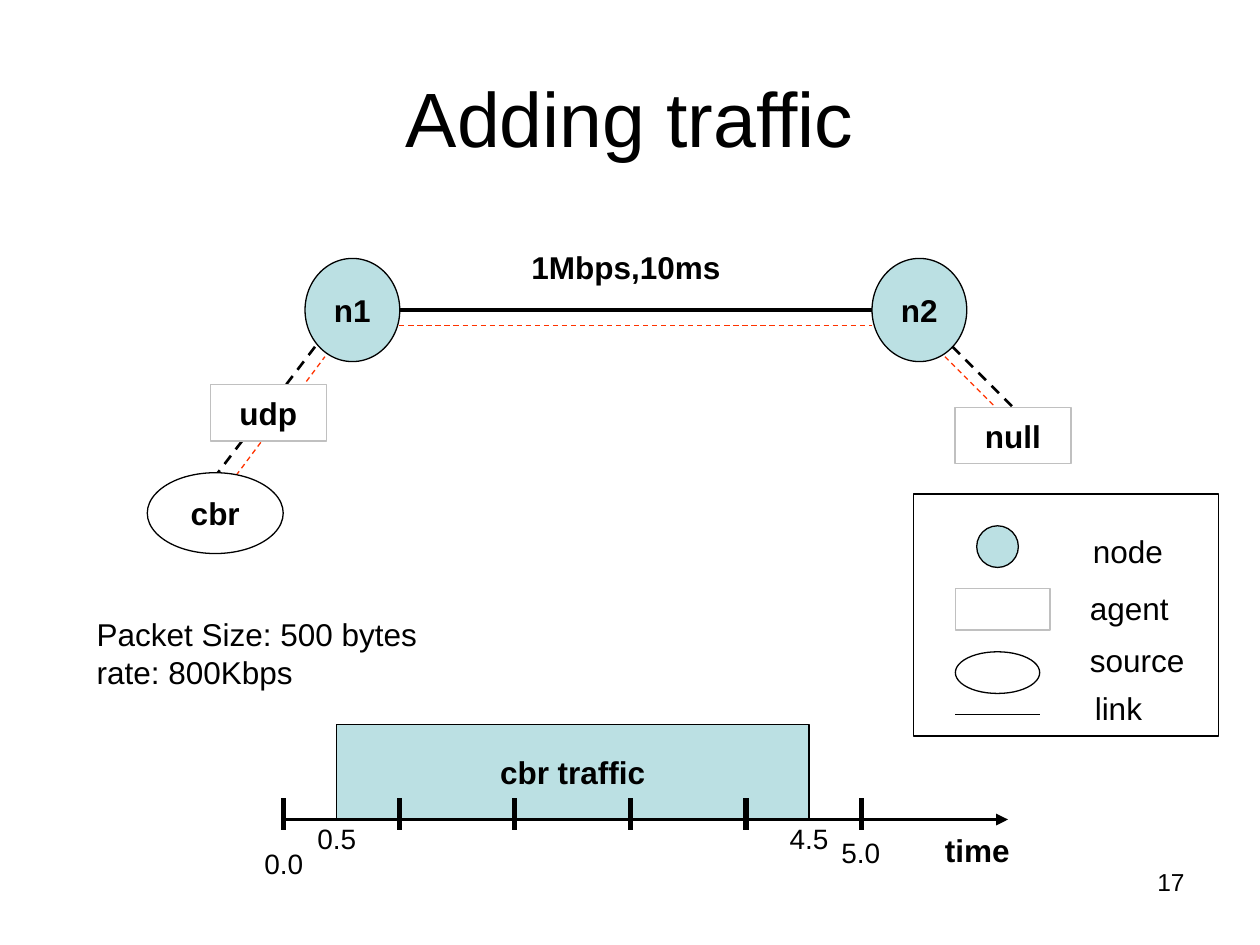
from lxml import etree
from pptx import Presentation
from pptx.dml.color import RGBColor
from pptx.enum import dml, shapes, text
from pptx.oxml.ns import qn
from pptx.util import Cm, Pt

BLACK = RGBColor(0x00, 0x00, 0x00)
WHITE = RGBColor(0xFF, 0xFF, 0xFF)
SILVER = RGBColor(0xC0, 0xC0, 0xC0)
AQUA = RGBColor(0xBB, 0xE0, 0xE3)
RED = RGBColor(0xFF, 0x33, 0x00)

RECT = shapes.MSO_SHAPE.RECTANGLE
OVAL = shapes.MSO_SHAPE.OVAL
LEFT, CENTER, RIGHT = text.PP_ALIGN.LEFT, text.PP_ALIGN.CENTER, text.PP_ALIGN.RIGHT
TOP, MIDDLE = text.MSO_ANCHOR.TOP, text.MSO_ANCHOR.MIDDLE


def write(sp, lines, size=18, bold=False, align=LEFT, anchor=TOP, wrap=True):
    tf = sp.text_frame
    tf.word_wrap = wrap
    tf.vertical_anchor = anchor
    tf.text = lines
    for p in tf.paragraphs:
        p.alignment = align
        for r in p.runs:
            r.font.name = "Arial"
            r.font.size = Pt(size)
            r.font.bold = bold
            r.font.color.rgb = BLACK


def add_label(parent, x, y, w, h, lines, **style):
    sp = parent.add_textbox(Cm(x), Cm(y), Cm(w), Cm(h))
    write(sp, lines, **style)
    return sp


def add_box(parent, kind, x, y, w, h, fill=WHITE, line=BLACK, label=None):
    sp = parent.add_shape(kind, Cm(x), Cm(y), Cm(w), Cm(h))
    sp.shadow.inherit = False
    sp.fill.solid()
    sp.fill.fore_color.rgb = fill
    sp.line.color.rgb = line
    sp.line.width = Pt(0.75)
    if label:
        write(sp, label, bold=True, align=CENTER, anchor=MIDDLE, wrap=False)
    return sp


def add_line(parent, x1, y1, x2, y2, width=0.75, color=BLACK, dashed=False, arrow=False):
    cn = parent.add_connector(shapes.MSO_CONNECTOR.STRAIGHT, Cm(x1), Cm(y1), Cm(x2), Cm(y2))
    cn.line.color.rgb = color
    cn.line.width = Pt(width)
    if dashed:
        cn.line.dash_style = dml.MSO_LINE.DASH
    if arrow:
        etree.SubElement(cn.line._get_or_add_ln(), qn("a:tailEnd"), type="triangle")
    etree.SubElement(cn._element.spPr, qn("a:effectLst"))
    return cn


def add_topology(s, x, y):
    sh = s.shapes
    flow = s.shapes.add_group_shape().shapes
    for x1, y1, x2, y2 in [(1.68, 4.85, 3.58, 2.31), (5.08, 1.68, 14.61, 1.68),
                           (16.08, 2.31, 17.15, 3.38)]:
        add_line(flow, x + x1, y + y1, x + x2, y + y2, color=RED, dashed=True)
    for x1, y1, x2, y2 in [(3.38, 2.11, 2.74, 2.95), (1.91, 4.01, 1.27, 4.85)]:
        add_line(sh, x + x1, y + y1, x + x2, y + y2, 1.5, dashed=True)
    for name, dx in [("n1", 3.18), ("n2", 14.61)]:
        add_box(sh, OVAL, x + dx, y + 0.33, 1.91, 2.08, AQUA, label=name)
    add_line(sh, x + 5.08, y + 1.37, x + 14.61, y + 1.37, 2.25)
    add_label(sh, x + 5.08, y, 9.14, 1.02, "1Mbps,10ms", bold=True, align=CENTER)
    add_box(sh, RECT, x + 1.27, y + 2.87, 2.34, 1.14, line=SILVER, label="udp")
    null = add_box(sh, RECT, x + 16.28, y + 3.33, 2.34, 1.14, line=SILVER, label="null")
    attach = add_line(sh, x + 16.23, y + 2.11, x + 17.45, y + 3.33, 1.5, dashed=True)
    attach.end_connect(null, 0)
    add_box(sh, OVAL, x, y + 4.65, 2.74, 1.63, label="cbr")


def add_timeline(s, x, y):
    sh = s.shapes.add_group_shape().shapes
    axis = y + 1.91
    add_box(sh, RECT, x + 1.7, y, 9.53, 1.91, AQUA, label="cbr traffic")
    add_line(sh, x + 0.64, axis, x + 15.24, axis, 2.25, arrow=True)
    for i in range(6):
        tick = x + 0.64 + i * 2.33
        add_line(sh, tick, axis - 0.43, tick, axis + 0.21, 3)
    for value, dx, dy in [("0.0", 0, 2.34), ("0.5", 1.07, 1.83),
                          ("5.0", 11.63, 2.11), ("4.5", 10.59, 1.83)]:
        add_label(sh, x + dx, y + dy, 1.47, 0.94, value, size=16)
    add_label(sh, x + 13.72, y + 2.01, 2, 1.02, "time", bold=True)


def add_legend(s, x, y, w, h):
    sh = s.shapes.add_group_shape().shapes
    add_box(sh, RECT, x, y, w, h)
    add_box(sh, OVAL, x + 1.27, y + 0.64, 0.84, 0.84, AQUA)
    add_box(sh, RECT, x + 0.84, y + 1.9, 1.91, 0.84, line=SILVER)
    add_box(sh, OVAL, x + 0.84, y + 3.18, 1.7, 0.84)
    add_line(sh, x + 0.84, y + 4.45, x + 2.54, y + 4.45)
    for name, dx, dy in [("node", 3.36, 0.64), ("agent", 3.3, 1.78),
                         ("source", 3.3, 2.84), ("link", 3.4, 3.81)]:
        add_label(sh, x + dx, y + dy, 2.7, 1.02, name)


def main():
    prs = Presentation()
    prs.slide_width, prs.slide_height = Cm(25.4), Cm(19.05)
    s = prs.slides.add_slide(prs.slide_layouts[6])
    add_label(s.shapes, 1.27, 0.76, 22.86, 3.18, "Adding traffic",
              size=44, align=CENTER, anchor=MIDDLE)
    add_topology(s, 2.97, 4.88)
    add_label(s.shapes, 1.7, 12.27, 7.62, 1.78, "Packet Size: 500 bytes\nrate: 800Kbps")
    add_timeline(s, 5.08, 14.61)
    add_legend(s, 18.42, 9.96, 6.15, 4.88)
    add_label(s.shapes, 18.21, 17.35, 5.92, 1.32, "17", size=14, align=RIGHT)
    prs.save("out.pptx")


if __name__ == "__main__":
    main()
